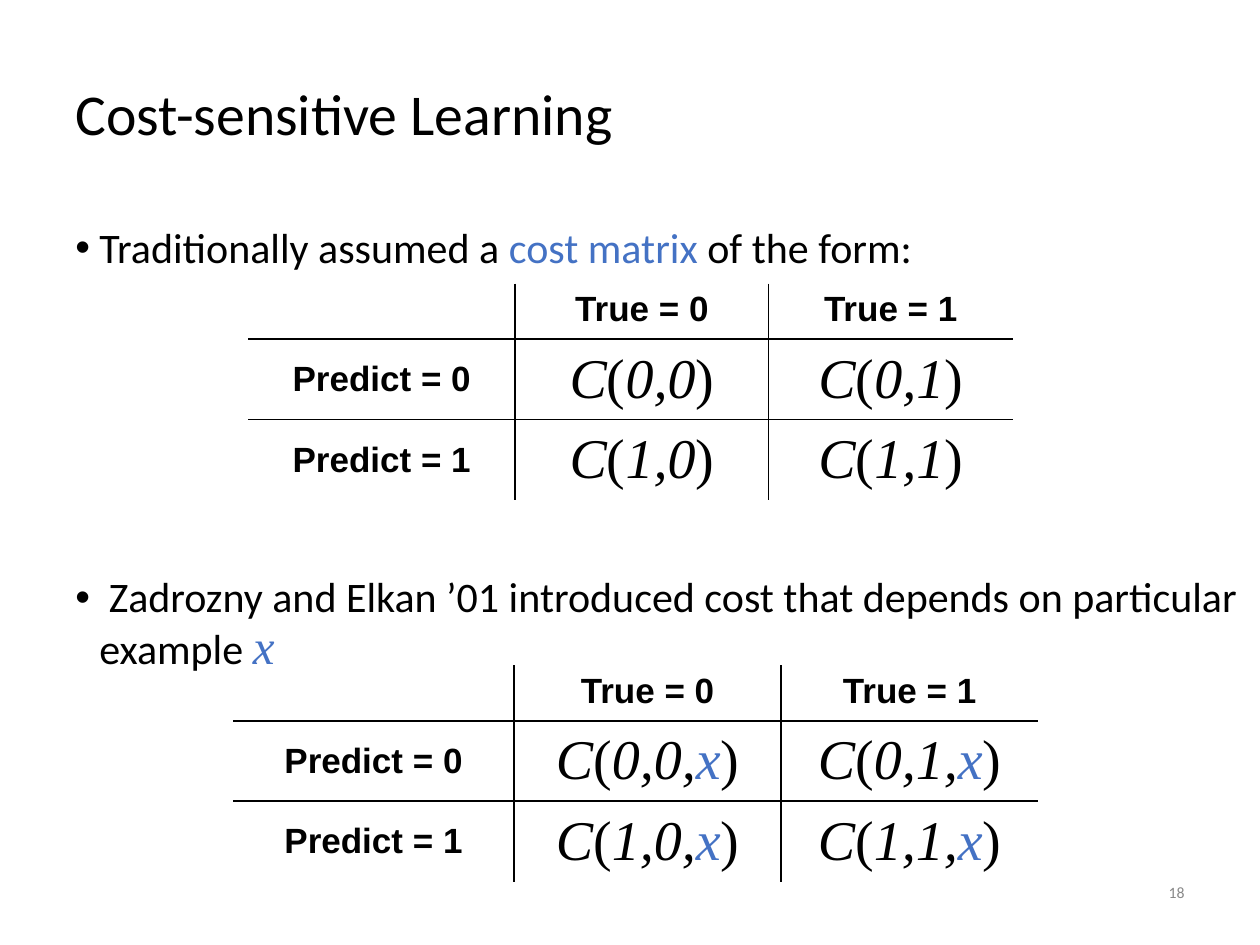
from lxml import etree
from pptx import Presentation
from pptx.dml.color import RGBColor
from pptx.enum.text import MSO_ANCHOR, PP_ALIGN
from pptx.oxml.ns import qn
from pptx.util import Inches, Pt

LEFT, CENTER, RIGHT = PP_ALIGN.LEFT, PP_ALIGN.CENTER, PP_ALIGN.RIGHT
TOP, MIDDLE = MSO_ANCHOR.TOP, MSO_ANCHOR.MIDDLE
COLUMNS, ROWS = 40, 30
COLORS = {"ink": "000000", "accent": "4472C4", "muted": "898989"}
STYLES = {
    "title": ("Calibri", 33, "ink", False, False),
    "body": ("Calibri", 24, "ink", False, False),
    "key": ("Calibri", 24, "accent", False, False),
    "example": ("Times New Roman", 28, "accent", False, True),
    "label": ("Arial", 20, "ink", True, False),
    "symbol": ("Times New Roman", 32, "ink", False, True),
    "bracket": ("Times New Roman", 32, "ink", False, False),
    "variable": ("Times New Roman", 32, "accent", False, True),
    "number": ("Calibri", 9, "muted", False, False),
}


class LectureSlide:
    """Holds the lecture style and draws elements on the current slide's grid."""

    def __init__(self, deck):
        self.slide = deck.slides.add_slide(deck.slide_layouts[6])
        self.column = deck.slide_width / COLUMNS
        self.row = deck.slide_height / ROWS

    def place(self, left, top, width, height):
        return (round(left * self.column), round(top * self.row),
                round(width * self.column), round(height * self.row))

    def add_runs(self, paragraph, runs, align=LEFT):
        paragraph.alignment = align
        for words, style in runs:
            run = paragraph.add_run()
            run.text = words
            font = run.font
            font.name, size, color, font.bold, font.italic = STYLES[style]
            font.size = Pt(size)
            font.color.rgb = RGBColor.from_string(COLORS[color])

    def frame(self, area, anchor):
        frame = self.slide.shapes.add_textbox(*self.place(*area)).text_frame
        frame.word_wrap = True
        frame.vertical_anchor = anchor
        return frame

    def line(self, area, words, style, align=LEFT, spacing=1.0):
        paragraph = self.frame(area, MIDDLE).paragraphs[0]
        paragraph.line_spacing = spacing
        self.add_runs(paragraph, [(words, style)], align)

    def bullets(self, area, points, gap):
        frame = self.frame(area, TOP)
        for index, runs in enumerate(points):
            paragraph = frame.add_paragraph() if index else frame.paragraphs[0]
            properties = paragraph._p.get_or_add_pPr()
            properties.set("marL", str(Inches(0.19)))
            properties.set("indent", str(-Inches(0.19)))
            bullet_color = etree.SubElement(properties, qn("a:buClr"))
            etree.SubElement(bullet_color, qn("a:srgbClr"), val=COLORS["ink"])
            etree.SubElement(properties, qn("a:buFont"), typeface="Arial")
            etree.SubElement(properties, qn("a:buChar"), char="•")
            paragraph.line_spacing = 0.9
            if index:
                paragraph.space_before = Pt(gap)
            self.add_runs(paragraph, runs)

    def borders(self, cell, drawn):
        properties = cell._tc.get_or_add_tcPr()
        for side in "LRTB":
            edge = etree.SubElement(properties, qn(f"a:ln{side}"), w=str(Pt(1.08)))
            if side in drawn:
                fill = etree.SubElement(edge, qn("a:solidFill"))
                etree.SubElement(fill, qn("a:srgbClr"), val=COLORS["ink"])
            else:
                etree.SubElement(edge, qn("a:noFill"))
        cell.fill.background()

    def cost_matrix(self, left, top, widths, variable=""):
        heights = (1.76, 2.56, 2.56)
        area = self.place(left, top, sum(widths), sum(heights))
        table = self.slide.shapes.add_table(3, 3, *area).table
        table.first_row = table.horz_banding = False
        for column, width in zip(table.columns, widths):
            column.width = round(width * self.column)
        for row, height in zip(table.rows, heights):
            row.height = round(height * self.row)
        for i in range(3):
            for j in range(3):
                cell = table.cell(i, j)
                inner = {"L": j > 0, "R": j < 2, "T": i > 0, "B": i < 2}
                self.borders(cell, [side for side in inner if inner[side]])
                cell.vertical_anchor = MIDDLE if i else TOP
                runs = self.cost_runs(i, j, variable)
                if runs:
                    self.add_runs(cell.text_frame.paragraphs[0], runs, CENTER)

    def cost_runs(self, i, j, variable):
        if i and j:
            comma = "," if variable else ""
            runs = [("C", "symbol"), ("(", "bracket"), (f"{i - 1},{j - 1}{comma}", "symbol")]
            if variable:
                runs.append((variable, "variable"))
            return runs + [(")", "bracket")]
        if i:
            return [(f"Predict = {i - 1}", "label")]
        return [(f"True = {j - 1}", "label")] if j else []


def main():
    deck = Presentation()
    deck.slide_width, deck.slide_height = Inches(10), Inches(7.5)
    lecture = LectureSlide(deck)
    lecture.line((2, 1.2, 36, 5), "Cost-sensitive Learning", "title", spacing=0.9)
    lecture.bullets((2, 7, 38, 15.24), [
        [("Traditionally assumed a ", "body"), ("cost matrix", "key"),
         (" of the form:", "body")],
        [(" Zadrozny and Elkan ’01 introduced cost that depends on particular example ",
          "body"), ("x", "example")],
    ], gap=174)
    lecture.cost_matrix(7.4, 21.12, (8.92, 8.48, 8.16), variable="x")
    lecture.line((28.68, 27.32, 9.32, 2), "18", "number", RIGHT)
    lecture.cost_matrix(7.88, 9, (8.48, 8.04, 7.76))
    deck.save("out.pptx")


if __name__ == "__main__":
    main()
